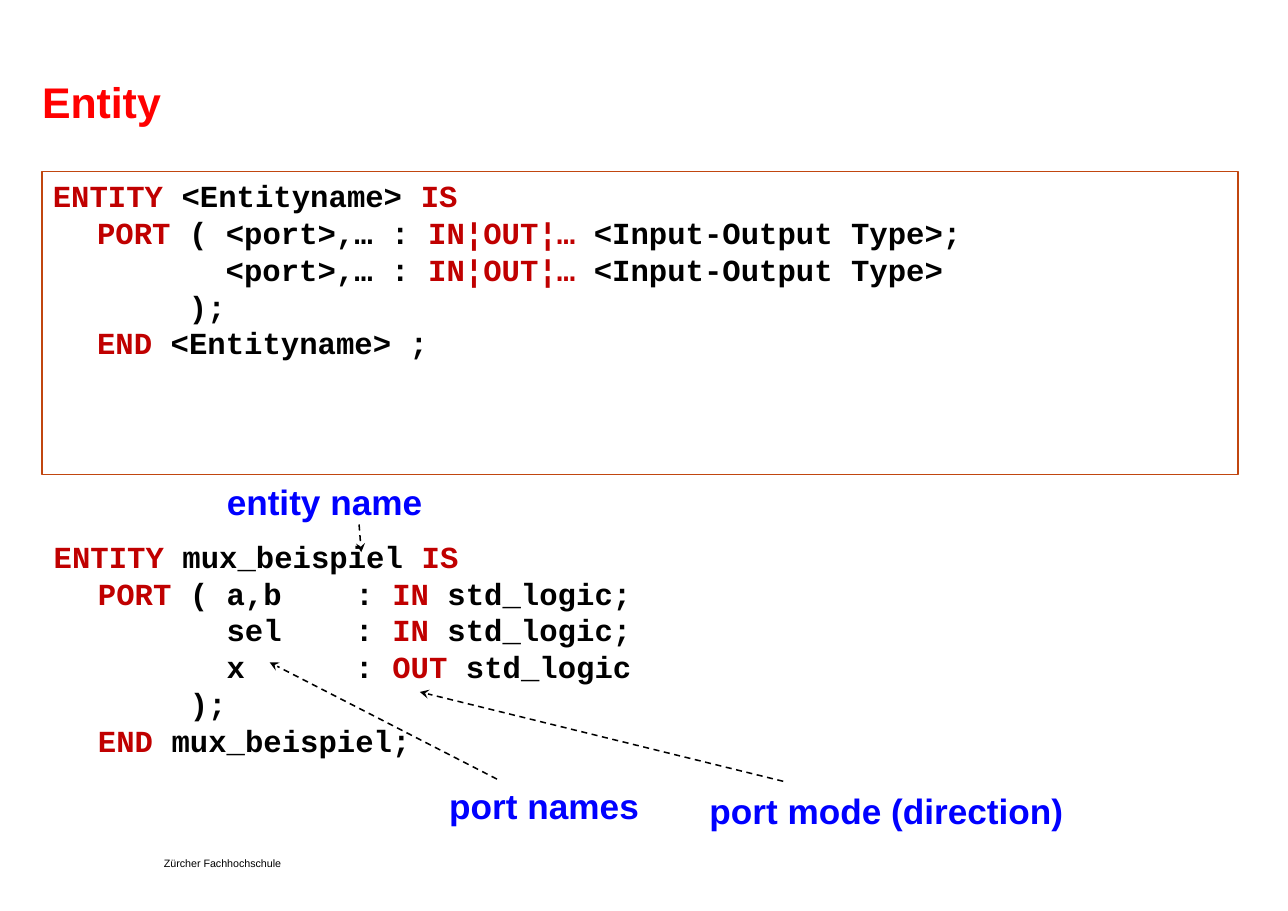
"""Build a slide that explains the VHDL entity declaration."""
from dataclasses import dataclass

from lxml.etree import SubElement
from pptx import Presentation
from pptx.dml.color import RGBColor as Rgb
from pptx.enum.dml import MSO_LINE_DASH_STYLE as Dash
from pptx.enum.shapes import MSO_CONNECTOR as Connector, MSO_SHAPE as Shape
from pptx.enum.text import MSO_ANCHOR as Anchor, PP_ALIGN as Align
from pptx.oxml.ns import qn
from pptx.util import Cm, Pt


@dataclass(frozen=True)
class Theme:
    """Hold the colours, fonts and type sizes."""
    title: Rgb = Rgb(0xFF, 0x00, 0x00)
    label: Rgb = Rgb(0x00, 0x00, 0xFF)
    keyword: Rgb = Rgb(0xC0, 0x00, 0x00)
    ink: Rgb = Rgb(0x00, 0x00, 0x00)
    border: Rgb = Rgb(0xC1, 0x46, 0x0F)
    text_font: str = "Arial"
    code_font: str = "Courier New"
    title_size: Pt = Pt(28)
    label_size: Pt = Pt(23)
    code_size: Pt = Pt(20)
    footer_size: Pt = Pt(7)


THEME = Theme()
SYNTAX = (
    "|ENTITY| <Entityname> |IS",
    "|PORT| ( <port>,… : |IN¦OUT¦…| <Input-Output Type>;",
    "       <port>,… : |IN¦OUT¦…| <Input-Output Type>",
    "\t  );",
    "|END| <Entityname> ;",
)
EXAMPLE = (
    "|ENTITY| mux_beispiel |IS",
    "|PORT| ( a,b    : |IN| std_logic;",
    "       sel    : |IN| std_logic;",
    "       x      : |OUT| std_logic",
    "\t  );",
    "|END| mux_beispiel;",
)
LABELS = (
    ("entity name", (4.95, 10.77, 5.13, 1.4)),
    ("port names", (10.08, 17.78, 5, 1.4)),
    ("port mode (direction)", (16.08, 17.88, 8.84, 1.4)),
)
ARROWS = (
    (8.28, 12.09, 8.33, 12.73),
    (11.46, 17.96, 6.22, 15.27),
    (18.06, 18.01, 9.68, 15.95),
)


def apply_format(target, values):
    """Set every attribute in a dict of format values."""
    for name, value in values.items():
        setattr(target, name, value)


def add_text(slide, text, place, size, color, bold=True, **frame_values):
    """Add a text box with one line of text."""
    frame = slide.shapes.add_textbox(*map(Cm, place)).text_frame
    apply_format(frame, {
        "margin_left": Cm(0.28), "margin_right": Cm(0.28),
        "margin_top": Cm(0.15), "margin_bottom": Cm(0.15),
        "word_wrap": False, **frame_values})
    paragraph = frame.paragraphs[0]
    paragraph.line_spacing = Pt(32) if bold else size
    run = paragraph.add_run()
    run.text = text
    apply_format(run.font, {"name": THEME.text_font, "size": size, "bold": bold})
    run.font.color.rgb = color


def add_code(slide, lines, place, bordered=False):
    """Add a code block in which bars enclose the keywords."""
    shape = slide.shapes.add_shape(Shape.RECTANGLE, *map(Cm, place))
    shape.shadow.inherit = False
    shape.fill.background()
    if bordered:
        shape.line.color.rgb = THEME.border
        shape.line.width = Pt(0.75)
    else:
        shape.line.fill.background()
    apply_format(shape.text_frame, {"word_wrap": True, "vertical_anchor": Anchor.TOP})
    paragraph = shape.text_frame.paragraphs[0]
    properties = paragraph._p.get_or_add_pPr()
    apply_format(paragraph, {"alignment": Align.LEFT, "line_spacing": Pt(24)})
    properties.set("marL", str(Cm(1.02)))
    properties.set("indent", str(-Cm(1.02)))
    tabs = SubElement(properties, qn("a:tabLst"))
    SubElement(tabs, qn("a:tab"), pos=str(Cm(3.81)), algn="l")
    for number, line in enumerate(lines):
        if number:
            paragraph.add_line_break()
        for index, piece in enumerate(line.split("|")):
            if piece:
                run = paragraph.add_run()
                run.text = piece
                apply_format(run.font, {
                    "name": THEME.code_font, "size": THEME.code_size, "bold": True})
                run.font.color.rgb = THEME.keyword if index % 2 else THEME.ink


def add_arrow(slide, points):
    """Add a dashed arrow from a label to the code."""
    arrow = slide.shapes.add_connector(Connector.STRAIGHT, *map(Cm, points))
    arrow.line.color.rgb = THEME.ink
    apply_format(arrow.line, {"width": Pt(1), "dash_style": Dash.DASH})
    SubElement(arrow.line._get_or_add_ln(), qn("a:tailEnd"), type="stealth")
    SubElement(arrow._element.spPr, qn("a:effectLst"))


def main():
    """Build the slide and save it."""
    presentation = Presentation()
    apply_format(presentation, {"slide_width": Cm(29.7), "slide_height": Cm(21)})
    slide = presentation.slides.add_slide(presentation.slide_layouts[6])
    add_text(slide, "Zürcher Fachhochschule", (3.78, 19.79, 3.35, 0.25),
             THEME.footer_size, THEME.ink, bold=False,
             margin_left=0, margin_right=0, margin_top=0, margin_bottom=0)
    add_text(slide, "Entity", (0.69, 1.04, 21.41, 2.67), THEME.title_size, THEME.title,
             word_wrap=True, vertical_anchor=Anchor.MIDDLE)
    add_code(slide, SYNTAX, (0.97, 3.96, 27.58, 6.99), bordered=True)
    add_code(slide, EXAMPLE, (0.99, 12.27, 27.58, 6.99))
    for text, place in LABELS:
        add_text(slide, text, place, THEME.label_size, THEME.label)
    for points in ARROWS:
        add_arrow(slide, points)
    presentation.save("out.pptx")


if __name__ == "__main__":
    main()
